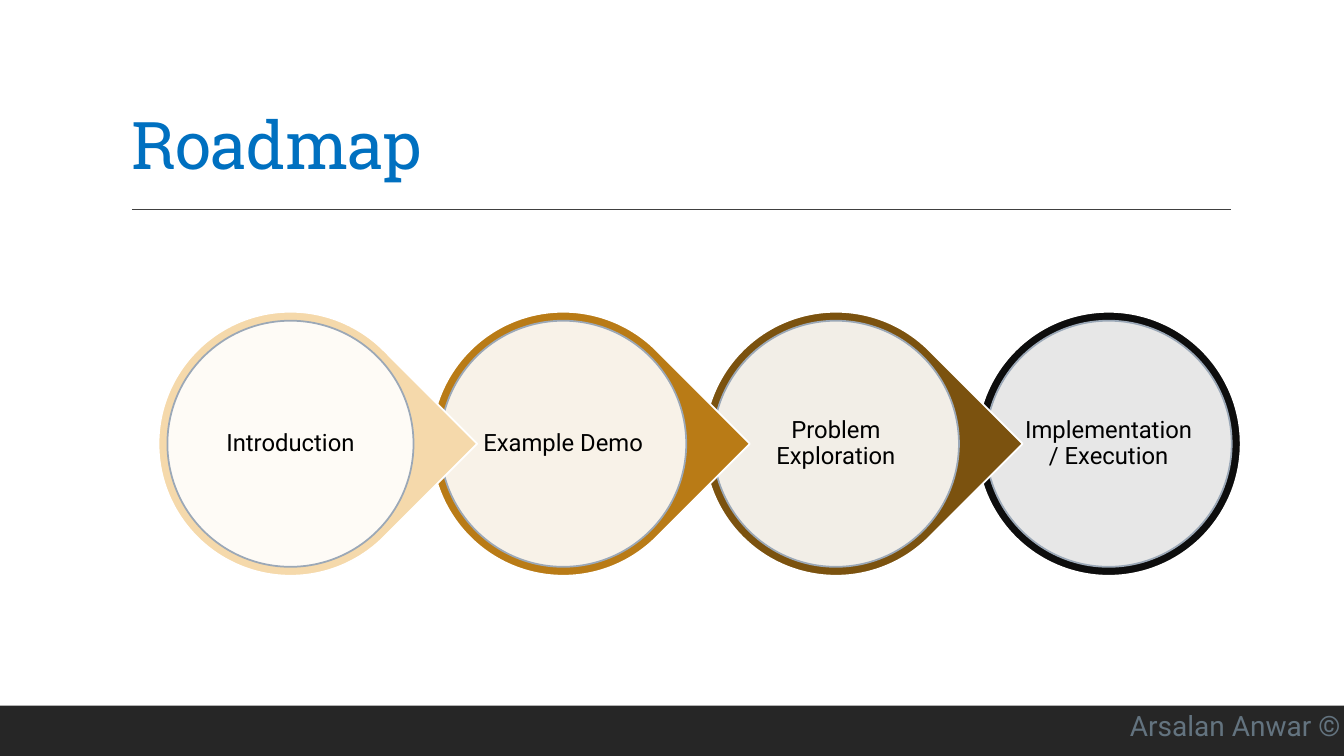
import pptx
import pptx.dml.color
import pptx.enum.shapes
import pptx.enum.text
import pptx.oxml
import pptx.oxml.ns
import pptx.util
from dataclasses import dataclass

Pt = pptx.util.Pt
RGB = pptx.dml.color.RGBColor.from_string
SHAPE = pptx.enum.shapes.MSO_SHAPE
ANCHOR = pptx.enum.text.MSO_ANCHOR
ALIGN = pptx.enum.text.PP_ALIGN


@dataclass(frozen=True)
class Theme:
    white: str = "FFFFFF"
    title: str = "0070C0"
    rule: str = "404040"
    bar: str = "262626"
    credit: str = "63737F"
    disc_line: str = "9BA8B7"
    label: str = "000000"
    heading_font: str = "Roboto Slab"
    body_font: str = "Roboto"
    title_size: float = 47
    credit_size: float = 20
    label_size: float = 17
    outline: float = 1.25


THEME = Theme()
STEPS = [
    ("Introduction", "F5D9AB"),
    ("Example Demo", "B97B16"),
    ("Problem Exploration", "7B520F"),
    ("Implementation/ Execution", "0D0D0D"),
]


def apply(target, values):
    for name, value in values.items():
        setattr(target, name, value)


def write(tf, text, font, size, color, frame=None, para=None):
    apply(tf, {"word_wrap": True, **(frame or {})})
    p = tf.paragraphs[0]
    apply(p, para or {})
    r = p.add_run()
    r.text = text
    apply(r.font, {"name": font, "size": Pt(size)})
    r.font.color.rgb = RGB(color)
    return r


def add_shape(slide, kind, box, fill, line=None, alpha=None):
    sp = slide.shapes.add_shape(kind, *map(Pt, box))
    sp.shadow.inherit = False
    sp.fill.solid()
    sp.fill.fore_color.rgb = RGB(fill)
    if alpha is not None:
        clr = sp.fill._xPr.find(".//" + pptx.oxml.ns.qn("a:srgbClr"))
        clr.append(pptx.oxml.parse_xml(
            f'<a:alpha {pptx.oxml.ns.nsdecls("a")} val="{alpha * 1000}"/>'))
    if line:
        sp.line.color.rgb = RGB(line)
        sp.line.width = Pt(THEME.outline)
    else:
        sp.line.fill.background()
    return sp


def add_heading(slide, box, text):
    x, y, w, h = box
    title = slide.shapes.title
    apply(title, dict(zip(("left", "top", "width", "height"), map(Pt, box))))
    r = write(title.text_frame, text, THEME.heading_font, THEME.title_size, THEME.title,
              {"vertical_anchor": ANCHOR.BOTTOM,
               "auto_size": pptx.enum.text.MSO_AUTO_SIZE.NONE},
              {"alignment": ALIGN.LEFT, "line_spacing": 0.9})
    r.font._element.set("spc", "-50")
    rule_y = y + h + 14.4
    rule = slide.shapes.add_connector(
        pptx.enum.shapes.MSO_CONNECTOR.STRAIGHT,
        Pt(x + 7.9), Pt(rule_y), Pt(x + w + 0.7), Pt(rule_y))
    rule.line.color.rgb = RGB(THEME.rule)
    rule.line.width = Pt(1)
    rule._element.spPr.append(
        pptx.oxml.parse_xml(f'<a:effectLst {pptx.oxml.ns.nsdecls("a")}/>'))


def add_footer(slide, box, text):
    x, y, w, h = box
    add_shape(slide, SHAPE.RECTANGLE, box, THEME.bar)
    credit = slide.shapes.add_textbox(Pt(x + w - 160), Pt(y - 1.4), Pt(160), Pt(31.7))
    write(credit.text_frame, text, THEME.body_font, THEME.credit_size, THEME.credit,
          {"margin_right": 0})


def add_step(slide, box, text, color, last):
    x, y, w, h = box
    kind = SHAPE.OVAL if last else SHAPE.TEAR
    ring = add_shape(slide, kind, box, color, THEME.white)
    if not last:
        ring.rotation = 45

    def inset(d):
        return x + d, y + d, w - 2 * d, h - 2 * d

    add_shape(slide, SHAPE.OVAL, inset(6.4), THEME.white, THEME.disc_line, alpha=90)
    label = slide.shapes.add_textbox(*map(Pt, inset(31.5)))
    margins = {f"margin_{side}": Pt(1.5) for side in ("left", "top", "right", "bottom")}
    write(label.text_frame, text, THEME.body_font, THEME.label_size, THEME.label,
          {"vertical_anchor": ANCHOR.MIDDLE, **margins},
          {"alignment": ALIGN.CENTER, "line_spacing": 0.9})


def add_roadmap(slide, box, steps):
    x, y, w, h = box
    pitch = (w - h) / (len(steps) - 1)
    for i, (text, color) in reversed(list(enumerate(steps))):
        add_step(slide, (x + i * pitch, y, h, h), text, color, i == len(steps) - 1)


def main():
    prs = pptx.Presentation()
    apply(prs, {"slide_width": Pt(960), "slide_height": Pt(540)})
    slide = prs.slides.add_slide(prs.slide_layouts[5])
    slide.background.fill.solid()
    slide.background.fill.fore_color.rgb = RGB(THEME.white)
    add_footer(slide, (0, 504, 960, 36), "Arsalan Anwar ©")
    add_heading(slide, (86.4, 20.6, 792, 114.5), "Roadmap")
    add_roadmap(slide, (113.2, 222.7, 773, 188.6), STEPS)
    prs.save("out.pptx")


if __name__ == "__main__":
    main()
